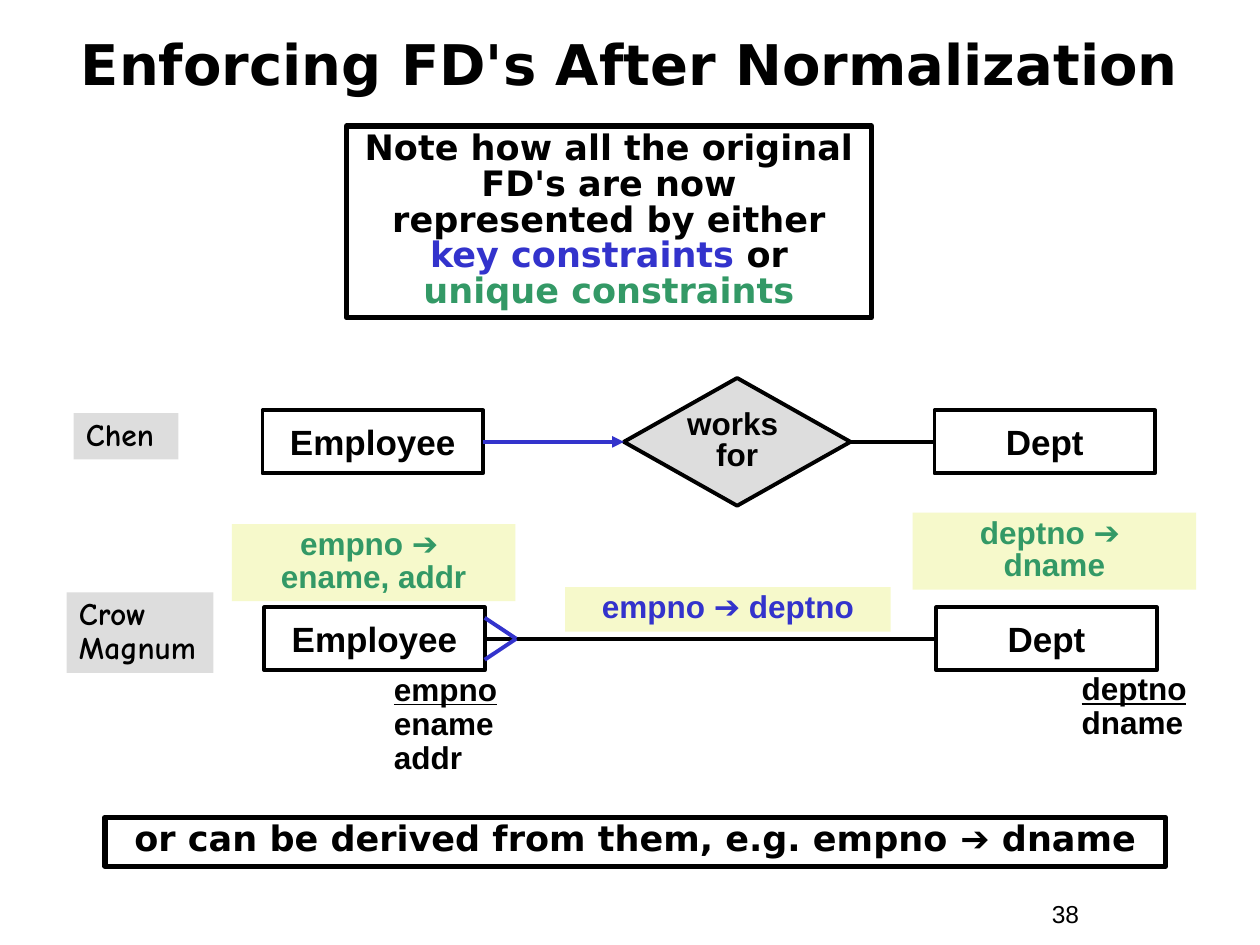
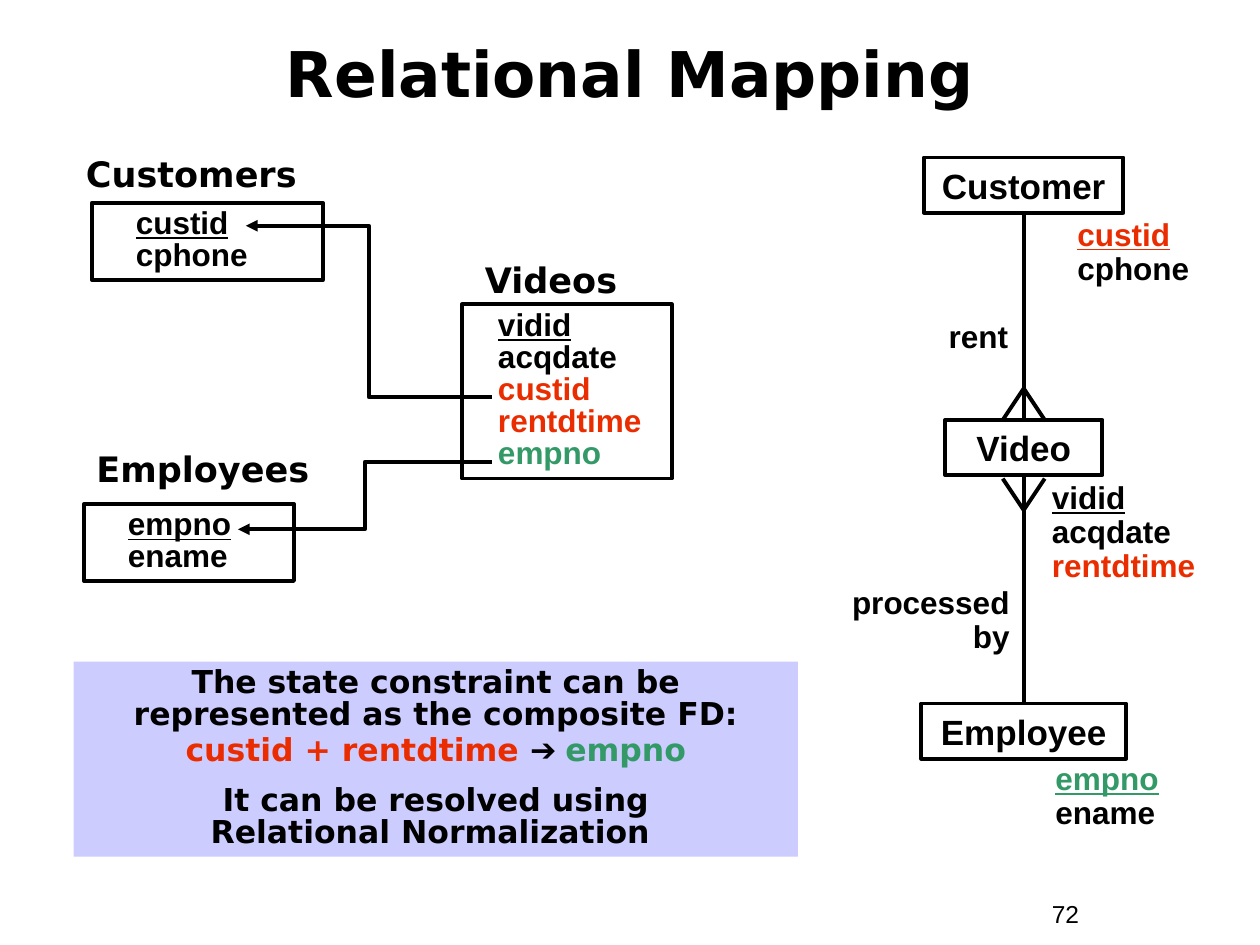
from dataclasses import dataclass

from lxml import etree
from pptx import Presentation
from pptx.dml.color import RGBColor
from pptx.enum.shapes import MSO_CONNECTOR, MSO_SHAPE
from pptx.enum.text import MSO_ANCHOR, MSO_AUTO_SIZE, PP_ALIGN
from pptx.oxml.ns import qn
from pptx.util import Pt

LEFT, CENTER, RIGHT = PP_ALIGN.LEFT, PP_ALIGN.CENTER, PP_ALIGN.RIGHT
TOP, MIDDLE = MSO_ANCHOR.TOP, MSO_ANCHOR.MIDDLE
RECT, DECISION = MSO_SHAPE.RECTANGLE, MSO_SHAPE.FLOWCHART_DECISION
STRAIGHT, ELBOW = MSO_CONNECTOR.STRAIGHT, MSO_CONNECTOR.ELBOW
SIDE_TOP, SIDE_LEFT, SIDE_BOTTOM, SIDE_RIGHT = range(4)
TITLE_ONLY = 5


@dataclass(frozen=True)
class Theme:
    black: RGBColor = RGBColor(0x00, 0x00, 0x00)
    blue: RGBColor = RGBColor(0x33, 0x33, 0xCC)
    green: RGBColor = RGBColor(0x33, 0x99, 0x66)
    red: RGBColor = RGBColor(0xEA, 0x2D, 0x00)
    gray: RGBColor = RGBColor(0xDD, 0xDD, 0xDD)
    cream: RGBColor = RGBColor(0xF6, 0xF9, 0xCB)
    lilac: RGBColor = RGBColor(0xCC, 0xCC, 0xFF)
    sans: str = "Arial"
    display: str = "DejaVu Sans"
    hand: str = "Comic Neue"
    heading: int = 20
    body: int = 18
    page: int = 14
    line: float = 2.25
    frame: float = 3


T = Theme()
KEY = {"underline": True}


def write_text(shape, paras, size=T.body, font=T.sans, color=T.black, bold=True,
               align=LEFT, spacing=1.0, gaps=(), indent=0, anchor=TOP, wrap=True):
    """Fill a shape; a paragraph is a string or a list of (text, overrides) runs."""
    tf = shape.text_frame
    tf.auto_size = MSO_AUTO_SIZE.NONE
    tf.word_wrap = wrap
    tf.vertical_anchor = anchor
    paras = [paras] if isinstance(paras, str) else paras
    for i, runs in enumerate(paras):
        p = tf.paragraphs[0] if i == 0 else tf.add_paragraph()
        if indent:
            p._p.get_or_add_pPr().set("marL", str(Pt(indent)))
        p.alignment = align
        p.line_spacing = spacing
        p.space_before = Pt(gaps[i] if i < len(gaps) else 0)
        p.font.size = Pt(size)
        for text, over in [(runs, {})] if isinstance(runs, str) else runs:
            for j, part in enumerate(text.split("\n")):
                if j:
                    p.add_line_break()
                if not part:
                    continue
                r = p.add_run()
                r.text = part
                r.font.size = Pt(size)
                r.font.bold = bold
                r.font.name = over.get("font", font)
                r.font.color.rgb = over.get("color", color)
                r.font.underline = over.get("underline", False)


class Deck:
    def __init__(self):
        self.prs = Presentation()
        self.prs.slide_width, self.prs.slide_height = Pt(720), Pt(540)
        self.s = None

    def slide(self, title, page, at, size):
        self.s = self.prs.slides.add_slide(self.prs.slide_layouts[TITLE_ONLY])
        sp = self.s.shapes.title
        sp.left, sp.top, sp.width, sp.height = map(Pt, at)
        write_text(sp, title, size=size, font=T.display, align=CENTER,
                   spacing=0.85, anchor=MIDDLE)
        self.label((594, 510, 66, 24.5), page, size=T.page, bold=False)

    def label(self, at, paras, **fmt):
        sp = self.s.shapes.add_textbox(*map(Pt, at))
        write_text(sp, paras, **fmt)

    def box(self, at, paras, kind=RECT, fill=None, line=None, **fmt):
        sp = self.s.shapes.add_shape(kind, *map(Pt, at))
        sp.shadow.inherit = False
        if fill is None:
            sp.fill.background()
        else:
            sp.fill.solid()
            sp.fill.fore_color.rgb = fill
        if line is None:
            sp.line.fill.background()
        else:
            sp.line.color.rgb = T.black
            sp.line.width = Pt(line)
        write_text(sp, paras, **fmt)
        return sp

    def entity(self, at, name):
        return self.box(at, name, line=T.line, size=T.heading, align=CENTER,
                        anchor=MIDDLE, wrap=False)

    def attributes(self, left, top, width, paras):
        self.label((left, top, width, 7 + 19.5 * len(paras)), paras, spacing=0.9)

    def relation(self, at, paras, indent=18):
        self.box(at, paras, line=T.line, indent=indent, spacing=0.85)

    def fd(self, at, text, color):
        """Functional dependency on a cream band."""
        self.box(at, text, fill=T.cream, color=color, align=CENTER, spacing=0.85)

    def notation(self, at, name):
        self.box(at, name, fill=T.gray, font=T.hand, spacing=0.9)

    def line(self, start=(0, 0), end=(0, 0), kind=STRAIGHT, color=T.black, arrow=False):
        c = self.s.shapes.add_connector(kind, *map(Pt, (*start, *end)))
        c.line.color.rgb = color
        c.line.width = Pt(T.line)
        if arrow:
            tail = etree.SubElement(c.line._get_or_add_ln(), qn("a:tailEnd"))
            tail.set("type", "triangle")
        etree.SubElement(c._element.spPr, qn("a:effectLst"))
        return c

    def join(self, a, a_side, b, b_side, **style):
        c = self.line(**style)
        c.begin_connect(a, a_side)
        c.end_connect(b, b_side)

    def crow_foot(self, tip, toes, color=T.black):
        for toe in toes:
            self.line(tip, toe, color=color)


def normalization_slide(d):
    d.slide("Enforcing FD's After Normalization", "38", (24, 6, 672, 66), 32)
    framed = dict(line=T.frame, size=T.heading, font=T.display, align=CENTER, spacing=0.85)
    d.box((198, 72, 300, 109.5), [[
        ("Note how all the original FD's are now represented by either\n", {}),
        ("key constraints ", {"color": T.blue}),
        ("or ", {}),
        ("unique constraints", {"color": T.green})]], **framed)
    d.box((60, 467, 606, 28), [[
        ("or can be derived from them, e.g. empno ", {}),
        ("➔", {"font": T.sans}),
        (" dname", {})]], **framed)

    # Chen notation
    d.notation((42, 236, 60, 26.5), "Chen")
    employee = d.entity((150, 234.5, 126, 36), "Employee")
    dept = d.entity((534, 234.5, 126, 36), "Dept")
    works_for = d.box((356.5, 216, 129.5, 73), "works \nfor", kind=DECISION,
                      fill=T.gray, line=T.line, align=CENTER, spacing=0.8,
                      anchor=MIDDLE, wrap=False)
    d.join(employee, SIDE_RIGHT, works_for, SIDE_LEFT, color=T.blue, arrow=True)
    d.join(works_for, SIDE_RIGHT, dept, SIDE_LEFT)

    # Crow's foot notation
    d.notation((38, 338.5, 84, 46), "Crow\nMagnum")
    d.fd((132.5, 299.5, 162, 44), "empno ➔ \nename, addr", T.green)
    d.fd((521.5, 293, 162, 44), "deptno ➔ \ndname", T.green)
    d.fd((323, 335.5, 186, 25.5), "empno ➔ deptno", T.blue)
    employee = d.entity((151, 347, 126, 36), "Employee")
    dept = d.entity((535, 347, 126, 36), "Dept")
    d.join(employee, SIDE_RIGHT, dept, SIDE_LEFT)
    d.crow_foot((295, 365), [(277, 353), (277, 377)], T.blue)
    d.attributes(218, 381.5, 84, [[("empno", KEY)], "ename", "addr"])
    d.attributes(611, 381, 84, [[("deptno", KEY)], "dname"])


def mapping_slide(d):
    d.slide("Relational Mapping", "72", (54, 12, 612, 66), 36)
    red, green = {"color": T.red}, {"color": T.green}

    # Relations and their foreign keys
    for name, left, top in (("Customers", 42, 83.5), ("Videos", 270, 144),
                            ("Employees", 48, 252)):
        d.label((left, top, 155, 31.5), name, size=T.heading, font=T.display)
    d.relation((52.5, 116, 132, 44), [[("custid", KEY)], "cphone"])
    d.relation((48, 288, 120, 44), [[("empno", KEY)], "ename"])
    d.relation((264, 174, 120, 99.5),
               [[("vidid", KEY)], "acqdate", [("custid", red)],
                [("rentdtime", red)], [("empno", green)]], indent=13.5)
    for start, end in (((281, 227), (140.5, 129)), ((281, 264), (136, 302.5))):
        d.line(start, end, kind=ELBOW, arrow=True)

    d.box((42, 378, 414, 111.5), [
        "The state constraint can be represented as the composite FD:",
        [("custid + rentdtime ", red), ("➔ ", {"font": T.sans}), ("empno", green)],
        "It can be resolved using\nRelational Normalization "],
        fill=T.lilac, font=T.display, align=CENTER, spacing=0.85, gaps=(0, 2.2, 10))

    # Entity diagram, stacked on one axis
    axis = 585
    customer, video, employee = [
        d.entity((axis - width / 2, top, width, 31.5), name)
        for name, top, width in (("Customer", 90, 114), ("Video", 240, 90),
                                 ("Employee", 402, 117))]
    d.join(customer, SIDE_BOTTOM, video, SIDE_TOP)
    d.join(video, SIDE_BOTTOM, employee, SIDE_TOP)
    for tip, base in ((222, 240), (291.5, 273.5)):
        d.crow_foot((axis, tip), [(axis - 12, base), (axis + 12, base)])
    d.attributes(608.5, 121.5, 84, [[("custid", KEY | red)], "cphone"])
    d.attributes(594, 272, 102, [[("vidid", KEY)], "acqdate", [("rentdtime", red)]])
    d.attributes(596, 432.5, 84, [[("empno", KEY | green)], "ename"])
    d.label((535, 180, 84, 26.5), "rent", spacing=0.9)
    d.label((470, 332, 114, 46), "processed by", align=RIGHT, spacing=0.9)


def main():
    d = Deck()
    normalization_slide(d)
    mapping_slide(d)
    d.prs.save("out.pptx")


if __name__ == "__main__":
    main()
